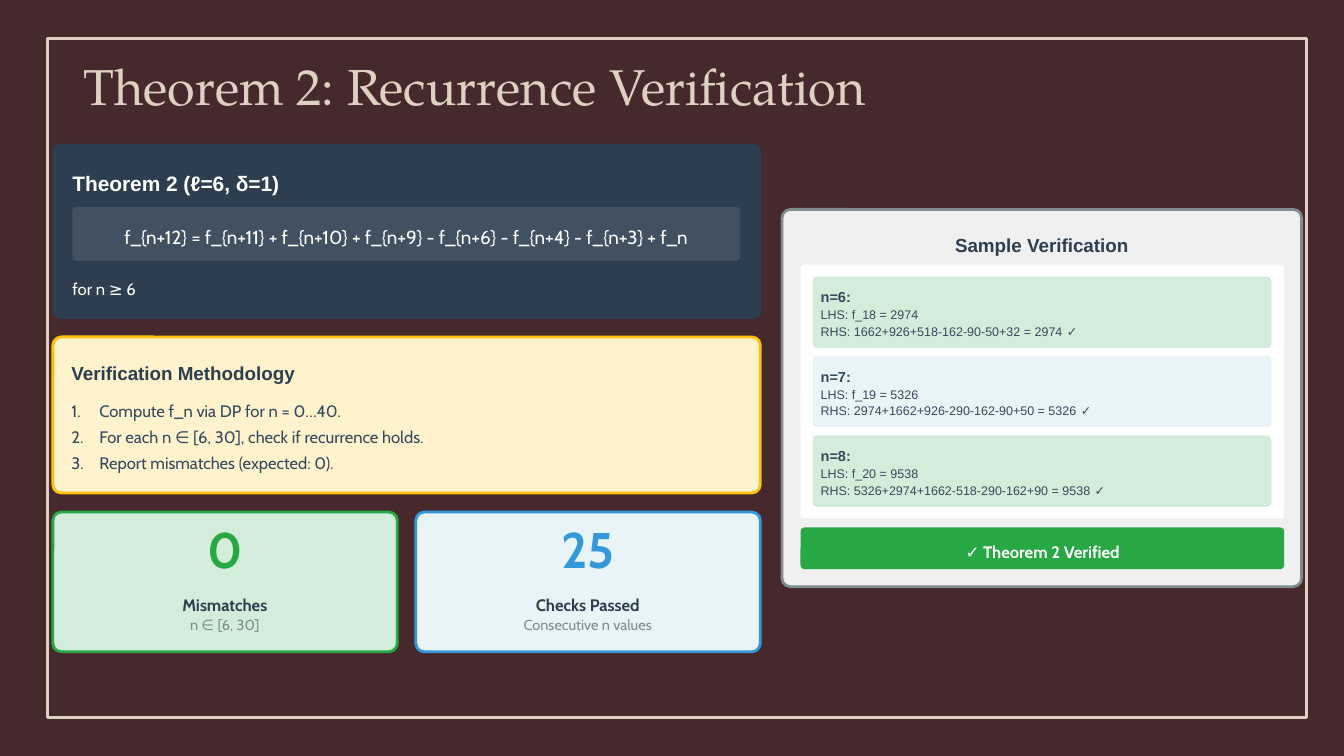
import pptx
import pptx.dml.color
import pptx.enum.shapes
import pptx.enum.text
import pptx.oxml.ns
import pptx.util
from lxml import etree

Cm = pptx.util.Cm
Pt = pptx.util.Pt
ALIGN = pptx.enum.text.PP_ALIGN
ANCHOR = pptx.enum.text.MSO_ANCHOR
PRESET = pptx.enum.shapes.MSO_SHAPE
qn = pptx.oxml.ns.qn

COLOURS = {
    "wine": "46292C", "sand": "DFD1C2", "navy": "2C3E50", "slate": "34495E",
    "white": "FFFFFF", "cream": "FFF3CD", "amber": "FFC107", "mint": "D4EDDA",
    "green": "28A745", "ice": "E8F4F8", "blue": "3498DB", "grey": "7F8C8D",
    "mist": "F0F0F0",
}


def rgb(name):
    return pptx.dml.color.RGBColor.from_string(COLOURS[name])


def inside(box, dx, dy, width, height):
    return box[0] + dx, box[1] + dy, width, height


def format_text(frame, lines, size=8.9, font="Cabin", colour="white", bold=False,
                align=ALIGN.LEFT, spacing=1.3, anchor=ANCHOR.MIDDLE, top=0,
                numbered=False):
    frame.word_wrap = True
    frame.auto_size = pptx.enum.text.MSO_AUTO_SIZE.NONE
    frame.vertical_anchor = anchor
    frame.margin_left = frame.margin_right = frame.margin_bottom = 0
    frame.margin_top = Cm(top)
    for index, line in enumerate(lines):
        paragraph = frame.add_paragraph() if index else frame.paragraphs[0]
        if numbered:
            properties = paragraph._p.get_or_add_pPr()
            properties.set("marL", str(Cm(0.53)))
            properties.set("indent", str(-Cm(0.53)))
            bullet = etree.SubElement(properties, qn("a:buClr"))
            etree.SubElement(bullet, qn("a:srgbClr"), val=COLOURS[colour])
            etree.SubElement(properties, qn("a:buFont"), typeface=font)
            etree.SubElement(properties, qn("a:buAutoNum"), type="arabicPeriod")
        paragraph.alignment = align
        paragraph.line_spacing = spacing
        run = paragraph.add_run()
        run.text = line
        run.font.size = Pt(size)
        run.font.name = font
        run.font.bold = bold
        run.font.color.rgb = rgb(colour)


def add_text(slide, box, *lines, **style):
    label = slide.shapes.add_textbox(*map(Cm, box))
    format_text(label.text_frame, lines, **style)


def add_panel(slide, box, fill=None, line=None, radius=0.08, opacity=None):
    preset = PRESET.ROUNDED_RECTANGLE if radius else PRESET.RECTANGLE
    panel = slide.shapes.add_shape(preset, *map(Cm, box))
    panel.shadow.inherit = False
    if radius:
        panel.adjustments[0] = radius / min(box[2:])
    if fill:
        panel.fill.solid()
        panel.fill.fore_color.rgb = rgb(fill)
    else:
        panel.fill.background()
    if opacity:
        colour = panel._element.spPr.find(qn("a:solidFill"))[0]
        etree.SubElement(colour, qn("a:alpha"), val=str(opacity * 1000))
    if line:
        panel.line.color.rgb = rgb(line)
        panel.line.width = Pt(1.5)
    else:
        panel.line.fill.background()


def add_title(slide, box):
    title = slide.shapes.title
    title.left, title.top, title.width, title.height = map(Cm, box)
    format_text(title.text_frame, ["Theorem 2: Recurrence Verification"], size=27,
                font="TeX Gyre Pagella", colour="sand", spacing=0.8,
                anchor=ANCHOR.TOP, top=0.25)


def add_theorem(slide, box):
    add_panel(slide, box, "navy", radius=0.16)
    add_text(slide, inside(box, 0.38, 0.41, 12.8, 0.56), "Theorem 2 (ℓ=6, δ=1)",
             size=11.2, font="Arial", bold=True, spacing=1.2)
    add_panel(slide, inside(box, 0.38, 1.19, 12.62, 1.02), "white", opacity=10)
    add_text(slide, inside(box, 0.53, 1.42, 12.32, 0.56),
             "f_{n+12} = f_{n+11} + f_{n+10} + f_{n+9} - f_{n+6} - f_{n+4} - f_{n+3} + f_n",
             size=10.1, align=ALIGN.CENTER)
    add_text(slide, inside(box, 0.38, 2.44, 12.78, 0.48), "for n ≥ 6")


def add_methodology(slide, box):
    add_panel(slide, box, "cream", "amber", radius=0.16)
    add_text(slide, inside(box, 0.35, 0.33, 12.88, 0.56), "Verification Methodology",
             size=10.1, font="Arial", colour="navy", bold=True)
    add_text(slide, inside(box, 0.35, 1.04, 12.85, 1.57),
             "Compute f_n via DP for n = 0…40.",
             "For each n ∈ [6, 30], check if recurrence holds.",
             "Report mismatches (expected: 0).",
             colour="slate", numbered=True)


def add_result(slide, box, number, label, note, fill, accent):
    add_panel(slide, box, fill, accent, radius=0.16)
    add_text(slide, inside(box, 0.1, 0.33, 6.3, 0.94), number, size=26.8,
             colour=accent, bold=True, align=ALIGN.CENTER, spacing=0.8)
    add_text(slide, inside(box, 0.25, 1.45, 6, 0.48), label, colour="navy",
             bold=True, align=ALIGN.CENTER)
    add_text(slide, inside(box, 0.27, 1.9, 5.96, 0.41), note, size=7.8,
             colour="grey", align=ALIGN.CENTER, spacing=1.2)


def add_check(slide, box, case, left_side, right_side, fill):
    add_panel(slide, box, fill)
    add_text(slide, inside(box, 0.15, 0.2, 0.79, 0.3), case, size=7.8,
             font="Arial", colour="slate", bold=True, spacing=1.2)
    for dy, side in ((0.56, left_side), (0.87, right_side)):
        add_text(slide, inside(box, 0.15, dy, 8.48, 0.3), side, size=6.7,
                 font="Arial", colour="slate", spacing=1.1)


def add_samples(slide, box):
    add_panel(slide, box, "mist", "grey", radius=0.16)
    add_text(slide, inside(box, 0.25, 0.33, 9.32, 0.56), "Sample Verification",
             size=10.1, font="Arial", colour="navy", bold=True, align=ALIGN.CENTER)
    add_panel(slide, inside(box, 0.35, 1.04, 9.14, 4.8), "white")
    checks = (
        ("n=6:", "LHS: f_18 = 2974", "RHS: 1662+926+518-162-90-50+32 = 2974 ✓", "mint"),
        ("n=7:", "LHS: f_19 = 5326", "RHS: 2974+1662+926-290-162-90+50 = 5326 ✓", "ice"),
        ("n=8:", "LHS: f_20 = 9538", "RHS: 5326+2974+1662-518-290-162+90 = 9538 ✓", "mint"),
    )
    for row, check in enumerate(checks):
        add_check(slide, inside(box, 0.58, 1.27 + 1.5 * row, 8.67, 1.35), *check)
    add_panel(slide, inside(box, 0.35, 6.01, 9.14, 0.79), "green")
    add_text(slide, inside(box, 0.43, 6.17, 8.99, 0.48), "✓ Theorem 2 Verified",
             bold=True, align=ALIGN.CENTER)


def main():
    deck = pptx.Presentation()
    deck.slide_width, deck.slide_height = Cm(25.4), Cm(14.29)
    slide = deck.slides.add_slide(deck.slide_layouts[5])
    slide.background.fill.solid()
    slide.background.fill.fore_color.rgb = rgb("wine")
    add_panel(slide, (0.9, 0.73, 23.79, 12.83), line="sand", radius=0)
    add_title(slide, (1.58, 1.02, 22.07, 1.19))
    add_theorem(slide, (0.99, 2.72, 13.4, 3.31))
    add_methodology(slide, (1, 6.37, 13.37, 2.95))
    results = (
        ("0", "Mismatches", "n ∈ [6, 30]", "mint", "green"),
        ("25", "Checks Passed", "Consecutive n values", "ice", "blue"),
    )
    for column, result in enumerate(results):
        add_result(slide, (1 + 6.86 * column, 9.68, 6.51, 2.64), *result)
    add_samples(slide, (14.78, 3.96, 9.82, 7.13))
    deck.save("out.pptx")


if __name__ == "__main__":
    main()
